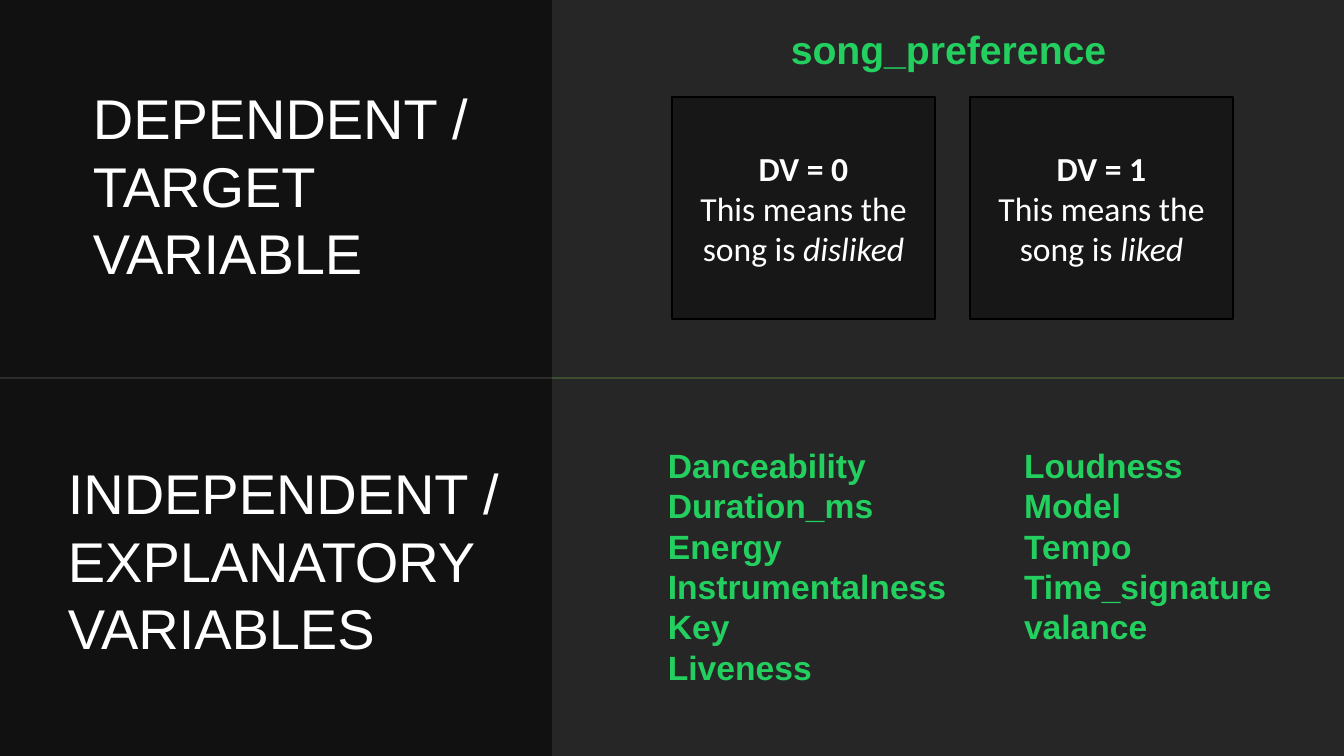
"""Build the slide on dependent and independent variables."""
from lxml import etree
from pptx import Presentation, util as u
from pptx.dml.color import RGBColor
from pptx.enum import shapes, text
from pptx.oxml.ns import qn

PX = u.Inches(1) / 100.8
BLACK = RGBColor(0x00, 0x00, 0x00)
WHITE = RGBColor(0xFF, 0xFF, 0xFF)
CHARCOAL = RGBColor(0x26, 0x26, 0x26)
GREEN = RGBColor(0x23, 0xCF, 0x5F)
OLIVE = RGBColor(0x70, 0xAD, 0x47)
GRAY = RGBColor(0x80, 0x80, 0x80)
WIDTH, HEIGHT, PANEL_WIDTH = 1344, 756, 552


def px(*lengths):
    return [u.Emu(round(length * PX)) for length in lengths]


def set_opacity(fill_parent, percent):
    color = next(fill_parent.iter(qn("a:srgbClr")))
    etree.SubElement(color, qn("a:alpha")).set("val", str(percent * 1000))


presentation = Presentation()
presentation.slide_width, presentation.slide_height = px(WIDTH, HEIGHT)
slide = presentation.slides.add_slide(presentation.slide_layouts[6])
slide.background.fill.solid()
slide.background.fill.fore_color.rgb = CHARCOAL

rectangles = [
    (0, 0, PANEL_WIDTH, HEIGHT, 55, None),
    (672, 97, 263, 222, 39, ("DV = 0", "disliked")),
    (970, 97, 263, 222, 39, ("DV = 1", "liked")),
]
for left, top, width, height, opacity, wording in rectangles:
    shape = slide.shapes.add_shape(
        shapes.MSO_SHAPE.RECTANGLE, *px(left, top, width, height))
    shape.shadow.inherit = False
    shape.fill.solid()
    shape.fill.fore_color.rgb = BLACK
    set_opacity(shape._element.spPr, opacity)
    if wording is None:
        shape.line.fill.background()
        continue
    shape.line.color.rgb = BLACK
    shape.line.width = u.Pt(1)
    value, meaning = wording
    frame = shape.text_frame
    frame.word_wrap = True
    frame.vertical_anchor = text.MSO_ANCHOR.MIDDLE
    paragraph = frame.paragraphs[0]
    paragraph.alignment = text.PP_ALIGN.CENTER
    paragraph.text = f"{value}\vThis means the song is "
    paragraph.add_run().text = meaning
    for run in paragraph.runs:
        run.font.name, run.font.size = "Calibri", u.Pt(24)
        run.font.color.rgb = WHITE
    paragraph.runs[0].font.bold = True
    paragraph.runs[-1].font.italic = True

for start, end, color, opacity in [
    (PANEL_WIDTH, WIDTH, OLIVE, 86),
    (0, PANEL_WIDTH, GRAY, 68),
]:
    divider = slide.shapes.add_connector(
        shapes.MSO_CONNECTOR.STRAIGHT, *px(start, HEIGHT // 2, end, HEIGHT // 2))
    divider.line.color.rgb = color
    divider.line.width = u.Pt(0.5)
    set_opacity(divider._element.spPr, opacity)
    etree.SubElement(divider._element.spPr, qn("a:effectLst"))

LEFT, CENTER = text.PP_ALIGN.LEFT, text.PP_ALIGN.CENTER
variables = [
    "Danceability", "Duration_ms", "Energy", "Instrumentalness", "Key", "Liveness",
    "Loudness", "Model", "Tempo", "Time_signature", "valance",
]
text_boxes = [
    (83, 79, 538, 281, ["DEPENDENT / TARGET", "VARIABLE"], 40, WHITE, False, LEFT, 1),
    (770, 20, 357, 57, ["song_preference"], 28, GREEN, True, CENTER, 1),
    (58, 454, 495, 281, ["INDEPENDENT /", "EXPLANATORY", "VARIABLES"],
     40, WHITE, False, LEFT, 1),
    (658, 440, 673, 270, variables, 24, GREEN, True, LEFT, 2),
]
for left, top, width, height, lines, size, color, bold, alignment, columns in text_boxes:
    box = slide.shapes.add_textbox(*px(left, top, width, height))
    frame = box.text_frame
    frame.word_wrap = True
    frame.text = "\n".join(lines)
    if columns > 1:
        properties = frame._txBody.bodyPr
        properties.set("numCol", str(columns))
        properties.set("spcCol", str(px(59)[0]))
    for paragraph in frame.paragraphs:
        paragraph.alignment = alignment
        font = paragraph.runs[0].font
        font.name, font.size, font.bold = "Arial", u.Pt(size), bold
        font.color.rgb = color

presentation.save("out.pptx")
